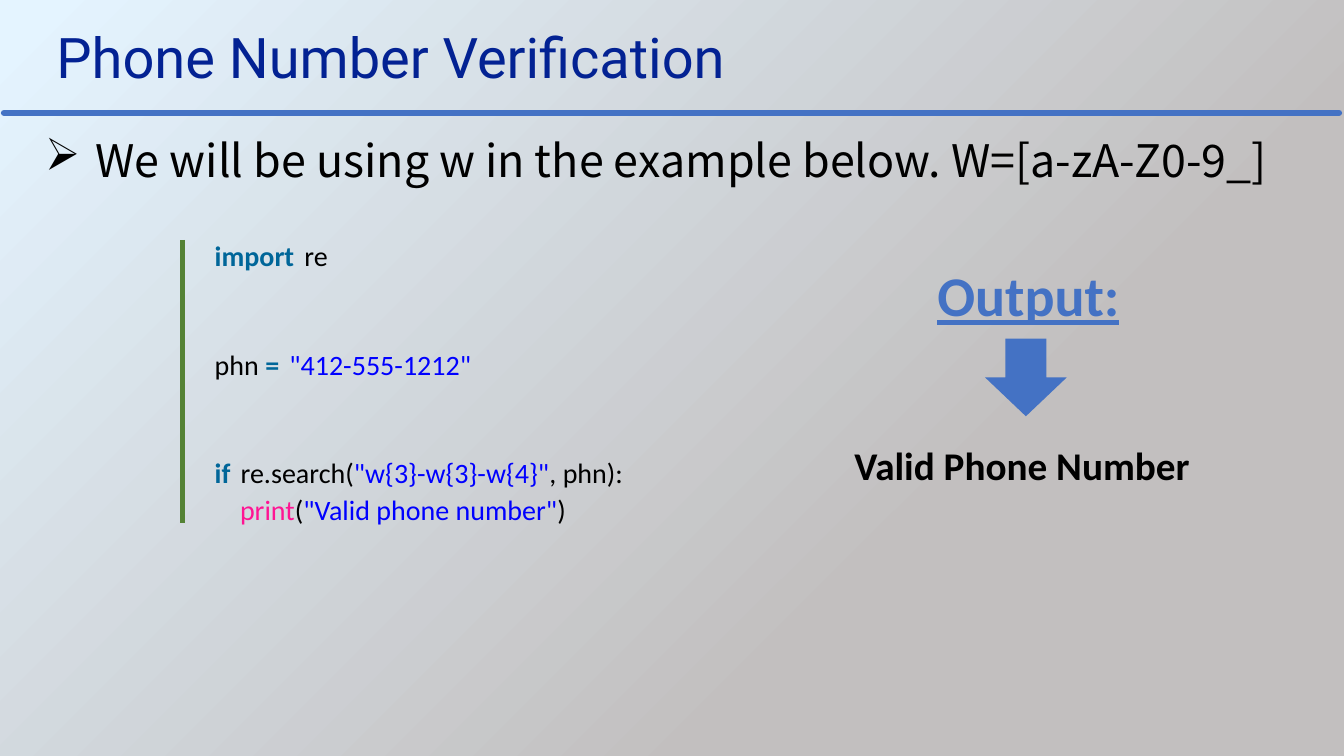
import dataclasses

import lxml.etree
import pptx
import pptx.dml.color
import pptx.enum.shapes
import pptx.enum.text
import pptx.oxml.ns
import pptx.util

Inches = pptx.util.Inches
Pt = pptx.util.Pt
Align = pptx.enum.text.PP_ALIGN
Anchor = pptx.enum.text.MSO_ANCHOR
qn = pptx.oxml.ns.qn


@dataclasses.dataclass(frozen=True)
class Theme:
    title_font: str = "Roboto"
    bullet_font: str = "Noto Sans CJK SC"
    body_font: str = "Calibri"
    navy: str = "032293"
    blue: str = "4472C4"
    green: str = "548235"
    black: str = "000000"
    keyword: str = "006699"
    string: str = "0000FF"
    function: str = "FF1493"
    sky: str = "E4F4FF"
    gray: str = "C2BFBF"
    heading_size: int = 40
    bullet_size: int = 32
    result_size: int = 28
    code_size: int = 20
    code_gap_size: int = 32
    code_blank_line: int = 39


def rgb(value):
    return pptx.dml.color.RGBColor.from_string(value)


class SlideBuilder:
    def __init__(self, deck, theme):
        self.theme = theme
        self.slide = deck.slides.add_slide(deck.slide_layouts[5])

    def background(self):
        fill = self.slide.background.fill
        fill.gradient()
        fill.gradient_angle = 315
        stops = ((0.02, self.theme.sky), (0.69, self.theme.gray))
        for stop, (position, color) in zip(fill.gradient_stops, stops):
            stop.position = position
            stop.color.rgb = rgb(color)

    def style(self, span, size, color, font=None, bold=False, underline=False):
        span.font.name = font or self.theme.body_font
        span.font.size = Pt(size)
        span.font.color.rgb = rgb(color)
        span.font.bold = bold
        span.font.underline = underline

    def place(self, box, left, top, width, height, anchor=Anchor.TOP):
        box.left, box.top = Inches(left), Inches(top)
        box.width, box.height = Inches(width), Inches(height)
        box.text_frame.word_wrap = True
        box.text_frame.vertical_anchor = anchor

    def title(self, text, *area):
        box = self.slide.shapes.title
        self.place(box, *area)
        box.text_frame.text = text
        para = box.text_frame.paragraphs[0]
        para.alignment = Align.LEFT
        self.style(para.runs[0], self.theme.heading_size, self.theme.navy, self.theme.title_font)

    def text_box(self, *area, anchor=Anchor.TOP):
        box = self.slide.shapes.add_textbox(0, 0, 0, 0)
        self.place(box, *area, anchor=anchor)
        return box

    def label(self, text, area, size, color, underline=False):
        box = self.text_box(*area)
        box.text_frame.text = text
        para = box.text_frame.paragraphs[0]
        para.alignment = Align.CENTER
        self.style(para.runs[0], size, color, bold=True, underline=underline)
        return box

    def bullet(self, text, *area):
        para = self.text_box(*area).text_frame.paragraphs[0]
        para.text = text
        properties = para._p.get_or_add_pPr()
        properties.set("marL", str(Inches(0.5)))
        properties.set("indent", str(-Inches(0.5)))
        mark = lxml.etree.SubElement(properties, qn("a:buChar"))
        mark.set("char", "➢")
        self.style(para.runs[0], self.theme.bullet_size, self.theme.black, self.theme.bullet_font)

    def code(self, lines, *area):
        frame = self.text_box(*area, anchor=Anchor.MIDDLE).text_frame
        frame.margin_left = frame.margin_right = 0
        frame.margin_top = frame.margin_bottom = 0
        for number, (gap, parts) in enumerate(lines):
            para = frame.add_paragraph() if number else frame.paragraphs[0]
            if gap:
                para.space_before = Pt(gap)
            for text, color in parts:
                span = para.add_run()
                span.text = text
                size = self.theme.code_gap_size if text == " " else self.theme.code_size
                self.style(span, size, color, bold=color == self.theme.keyword)

    def line(self, start, end, color, width, cap="flat"):
        points = [Inches(value) for value in (*start, *end)]
        kind = pptx.enum.shapes.MSO_CONNECTOR.STRAIGHT
        connector = self.slide.shapes.add_connector(kind, *points)
        connector.line.color.rgb = rgb(color)
        connector.line.width = Pt(width)
        connector.line._get_or_add_ln().set("cap", cap)
        lxml.etree.SubElement(connector._element.spPr, qn("a:effectLst"))

    def down_arrow(self, *area):
        kind = pptx.enum.shapes.MSO_SHAPE.DOWN_ARROW
        arrow = self.slide.shapes.add_shape(kind, *map(Inches, area))
        arrow.shadow.inherit = False
        arrow.fill.solid()
        arrow.fill.fore_color.rgb = rgb(self.theme.blue)
        arrow.line.fill.background()


def main():
    deck = pptx.Presentation()
    deck.slide_width, deck.slide_height = Inches(13.33), Inches(7.5)
    theme = Theme()
    page = SlideBuilder(deck, theme)
    page.background()

    page.title("Phone Number Verification", 0.46, 0.17, 10.77, 0.77)
    page.line((0.04, 1.12), (13.28, 1.12), theme.blue, 4.5, cap="rnd")

    page.label("Output:", (9.03, 2.54, 2.34, 0.77), theme.heading_size, theme.blue, underline=True)
    page.down_arrow(9.77, 3.36, 0.81, 0.77)
    result = page.label("Valid Phone Number", (8.24, 4.38, 3.79, 0.52), theme.result_size, theme.black)
    result.text_frame.vertical_anchor = Anchor.MIDDLE
    result.text_frame.margin_top = 0

    page.bullet("We will be using w in the example below. W=[a-zA-Z0-9_]", 0.35, 1.27, 12.92, 0.64)

    space = (" ", theme.black)
    lines = [
        (0, [("import", theme.keyword), space, ("re", theme.black)]),
        (theme.code_blank_line, [
            ("phn ", theme.black), ("=", theme.keyword), space,
            ('"412-555-1212"', theme.string),
        ]),
        (theme.code_blank_line, [
            ("if", theme.keyword), space, ("re.search(", theme.black),
            ('"w{3}-w{3}-w{4}"', theme.string), (", phn):", theme.black),
        ]),
        (0, [
            ("    print", theme.function), ("(", theme.black),
            ('"Valid phone number"', theme.string), (")", theme.black),
        ]),
    ]
    page.code(lines, 2.13, 2.16, 4.3, 3.1)
    page.line((1.81, 2.38), (1.81, 5.19), theme.green, 3)

    deck.save("out.pptx")


if __name__ == "__main__":
    main()
